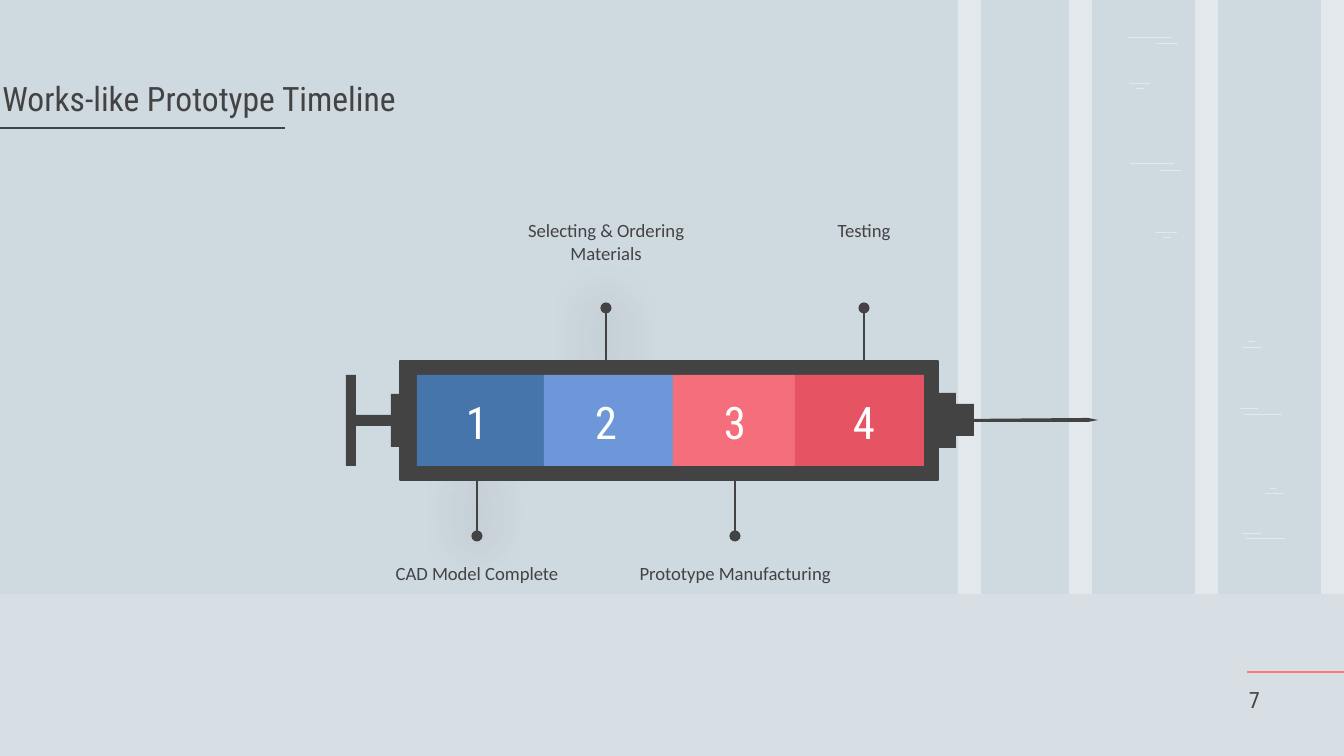
from lxml import etree
from pptx import Presentation
from pptx.dml.color import RGBColor
from pptx.enum.shapes import MSO_CONNECTOR, MSO_SHAPE
from pptx.enum.text import MSO_ANCHOR, MSO_AUTO_SIZE, PP_ALIGN
from pptx.oxml.ns import qn
from pptx.util import Pt

LINE, RECT = MSO_CONNECTOR.STRAIGHT, MSO_SHAPE.RECTANGLE
TOP, MIDDLE, BOTTOM = MSO_ANCHOR.TOP, MSO_ANCHOR.MIDDLE, MSO_ANCHOR.BOTTOM
LEFT, CENTER, RIGHT = PP_ALIGN.LEFT, PP_ALIGN.CENTER, PP_ALIGN.RIGHT
EMU_PER_PX = 914400 / 134.4
WIDTH, HEIGHT = 1344, 756
HEADING, BODY = "Roboto Condensed", "Calibri"
COLORS = {
    "wall": "CFD9E0", "white": "FFFFFF", "dark": "434343", "accent": "FF787F",
    "stage1": "4675AB", "stage2": "6D97D9", "stage3": "F56E7C", "stage4": "E65463",
}
STAGES = [
    ("1", "CAD Model Complete"),
    ("2", "Selecting & Ordering\nMaterials"),
    ("3", "Prototype Manufacturing"),
    ("4", "Testing"),
]


def px(*lengths):
    return [round(length * EMU_PER_PX) for length in lengths]


def paint(shape, color, alpha=None):
    shape.shadow.inherit = False
    shape.fill.solid()
    shape.fill.fore_color.rgb = RGBColor.from_string(COLORS[color])
    shape.line.fill.background()
    if alpha:
        tint = shape.fill._xPr.find(qn("a:solidFill"))[0]
        etree.SubElement(tint, qn("a:alpha")).set("val", str(alpha * 1000))


def add_block(slide, box, color, alpha=None):
    block = slide.shapes.add_shape(RECT, *px(*box))
    paint(block, color, alpha)
    return block


def add_line(slide, start, end, color):
    line = slide.shapes.add_connector(LINE, *px(*start, *end))
    line.line.color.rgb = RGBColor.from_string(COLORS[color])
    line.line.width = Pt(1.5)
    effects = etree.SubElement(line._element.spPr, qn("a:effectLst"))
    return line, effects


def set_text(shape, text, size, font, color="dark", align=CENTER, anchor=TOP,
             insets=(0, 1, 0, 0)):
    frame = shape.text_frame
    frame.text = text
    frame.word_wrap = True
    frame.auto_size = MSO_AUTO_SIZE.NONE
    frame.vertical_anchor = anchor
    (frame.margin_left, frame.margin_top,
     frame.margin_right, frame.margin_bottom) = px(*insets)
    for paragraph in frame.paragraphs:
        paragraph.alignment = align
        for run in paragraph.runs:
            run.font.size = Pt(size)
            run.font.name = font
            run.font.color.rgb = RGBColor.from_string(COLORS[color])


def add_label(slide, box, text, size, font, **style):
    set_text(slide.shapes.add_textbox(*px(*box)), text, size, font, **style)


def add_backdrop(slide, width, height):
    floor = 594
    slide.background.fill.solid()
    slide.background.fill.fore_color.rgb = RGBColor.from_string(COLORS["wall"])
    # Wall stripes
    for left in (958, 1069, 1195, 1321):
        add_block(slide, (left, 0, 23, floor), "white", 40)
    # Brick marks: left, top, width
    marks = [
        (1128, 37, 44), (1156, 43, 22), (1129, 83, 21), (1136, 88, 8),
        (1130, 163, 44), (1160, 170, 21), (1155, 232, 22), (1163, 237, 8),
        (1248, 341, 7), (1243, 347, 18), (1240, 408, 18), (1244, 414, 38),
        (1270, 488, 7), (1265, 493, 19), (1242, 533, 19), (1246, 538, 39),
    ]
    for left, top, length in marks:
        add_block(slide, (left, top, length, 1), "white", 40)
    # Floor
    add_block(slide, (0, floor, width, height - floor), "white", 17)


def add_heading(slide, left, top, width, height):
    title = slide.shapes.title
    title.left, title.top, title.width, title.height = px(left, top, width, height)
    set_text(title, "Works-like Prototype Timeline", 18, HEADING,
             align=RIGHT, anchor=BOTTOM, insets=(13, 13, 13, 13))
    add_line(slide, (0, top + 40), (285, top + 40), "dark")


def add_page_number(slide, left, top, width, height):
    add_line(slide, (left + 11, top + 4), (WIDTH, top + 4), "accent")
    add_label(slide, (left, top, width, height), "7", 12, HEADING,
              align=LEFT, anchor=BOTTOM, insets=(13, 13, 13, 13))


def add_callout(slide, x, start, end, text, glow):
    """Pin from the barrel to its caption, above or below."""
    pin, effects = add_line(slide, (x, start), (x, end), "dark")
    outline = pin.line._get_or_add_ln()
    etree.SubElement(outline, qn("a:tailEnd")).set("type", "oval")
    if glow:
        shadow = etree.SubElement(effects, qn("a:outerShdw"), blurRad="357188",
                                  dist="19050", dir="5400000", algn="bl", rotWithShape="0")
        black = etree.SubElement(shadow, qn("a:srgbClr"), val="000000")
        etree.SubElement(black, qn("a:alpha"), val="73000")
    caption_top = end + 25 if end > start else end - 90
    add_label(slide, (x - 96, caption_top, 192, 64), text, 10, BODY)


def add_syringe(slide, left, top, width, height):
    middle = top + height // 2
    first_pin, pitch = left + 131, 129
    centers = [first_pin + pitch * i for i in range(len(STAGES))]

    # Callouts alternate below and above, behind the barrel
    for i, (x, (_, caption)) in enumerate(zip(centers, STAGES)):
        end = top - 53 if i % 2 else top + height + 56
        add_callout(slide, x, middle, end, caption, glow=i < 2)

    # Needle hub, needle tip, plunger end, rod and collar: x, width, height
    for x, part_width, part_height in [(565, 45, 55), (603, 25, 32), (0, 10, 91),
                                       (8, 42, 11), (45, 9, 53)]:
        add_block(slide, (left + x, middle - part_height // 2, part_width, part_height), "dark")

    # Needle
    right = left + width
    points = [(right - 10, middle + 2), (right, middle), (right - 10, middle - 2),
              (left + 626, middle - 1), (left + 626, middle + 2)]
    needle = slide.shapes.build_freeform(*px(*points[0]))
    needle.add_line_segments([px(*point) for point in points[1:]])
    paint(needle.convert_to_shape(), "dark")

    # Barrel
    barrel = add_block(slide, (left + 54, top, 538, height), "dark")
    barrel.line.color.rgb = RGBColor.from_string(COLORS["dark"])
    barrel.line.width = Pt(0.75)

    # Numbered stages
    edges = [71, 198, 327, 449, 578]
    for (number, _), x, start, end in zip(STAGES, centers, edges, edges[1:]):
        add_block(slide, (left + start, top + 14, end - start, 91), "stage" + number)
        add_label(slide, (x - 40, top + 29, 80, 63), number, 24, HEADING,
                  color="white", anchor=MIDDLE)


def main():
    prs = Presentation()
    prs.slide_width, prs.slide_height = px(WIDTH, HEIGHT)
    title_only = prs.slide_layouts[5]
    slide = prs.slides.add_slide(title_only)
    add_backdrop(slide, WIDTH, HEIGHT)
    add_heading(slide, -47, 88, 456, 43)
    add_syringe(slide, 346, 361, 752, 119)
    add_page_number(slide, 1236, 668, 47, 58)
    prs.save("out.pptx")


if __name__ == "__main__":
    main()
